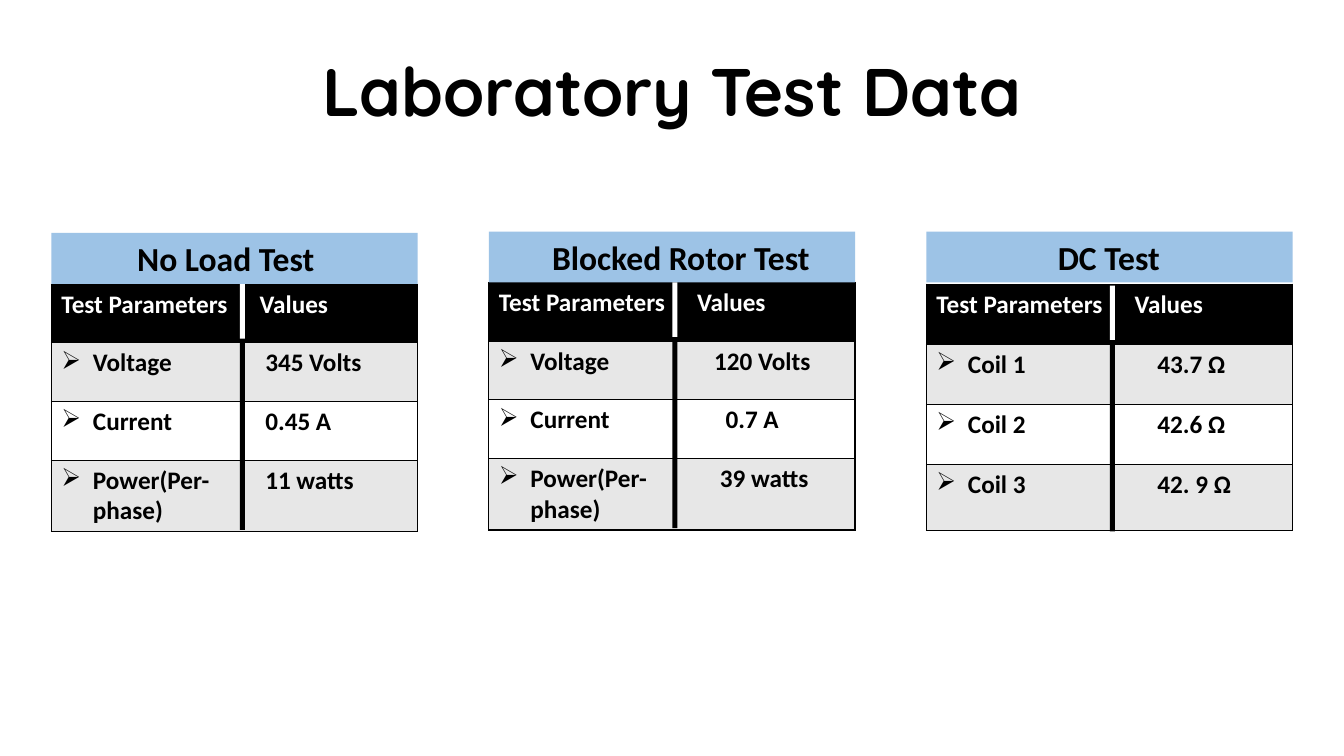
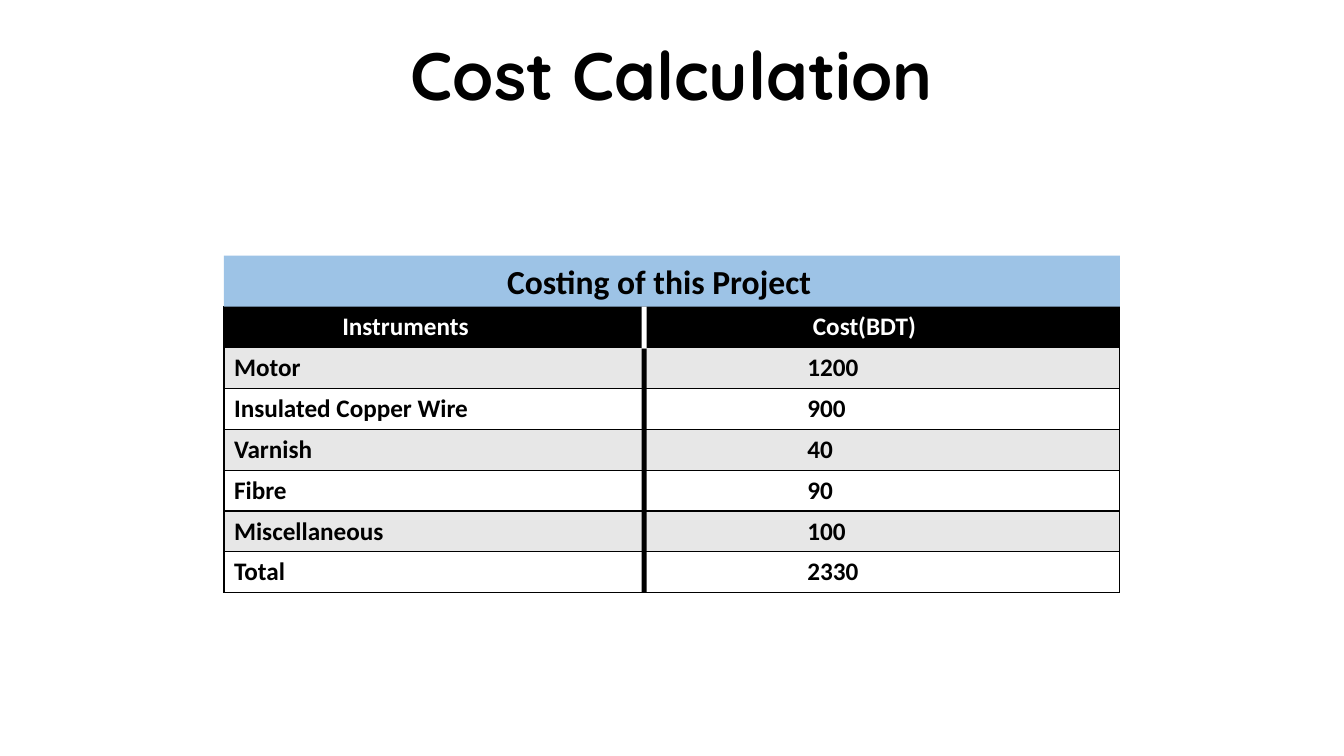
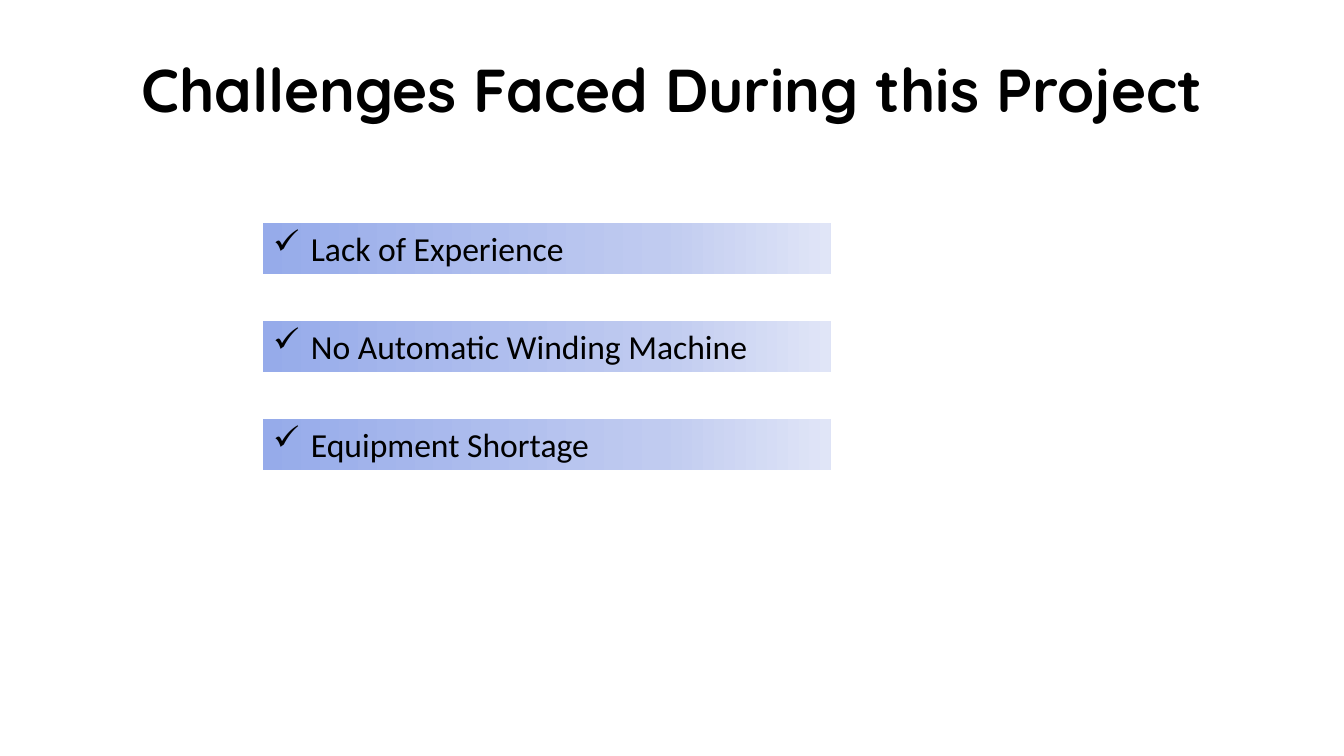
from copy import deepcopy
from dataclasses import dataclass

from pptx import Presentation
from pptx.dml.color import RGBColor as RGB
from pptx.enum.shapes import MSO_SHAPE as Preset
from pptx.enum.text import MSO_ANCHOR as Anchor, PP_ALIGN as Align
from pptx.oxml.ns import qn
from pptx.oxml.xmlchemy import OxmlElement as Element
from pptx.util import Pt


@dataclass(frozen=True)
class Theme:
    # Colours
    black: str = "000000"
    white: str = "FFFFFF"
    stripe: str = "E7E7E7"
    band: str = "9DC3E6"
    fade: tuple = ((0, "96ABEA"), (0.7, "C0CBF0"), (1, "E0E5F7"))
    # Fonts and sizes
    title_font: str = "Quicksand"
    body_font: str = "Calibri"
    title_size: float = 48
    heading_size: float = 24
    cell_size: float = 18
    # Shared measures
    slide_width: float = 960
    slide_height: float = 540
    band_height: float = 36.36
    divider_width: float = 3.6


THEME = Theme()


def style(paragraph, size, color=THEME.black, bold=True, font=THEME.body_font):
    paragraph.font.name = font
    paragraph.font.size = Pt(size)
    paragraph.font.bold = bold
    paragraph.font.color.rgb = RGB.from_string(color)


def indent(paragraph, left, bullet=None):
    """Indent a paragraph; a bullet hangs in the indent."""
    props = paragraph._p.get_or_add_pPr()
    props.set("marL", str(Pt(left)))
    if bullet:
        props.set("indent", str(-Pt(left)))
        mark = Element("a:buChar")
        mark.set("char", bullet)
        props.append(mark)


def add_title(slide, text, top, size=THEME.title_size):
    width = 828
    title = slide.shapes.add_textbox(
        Pt((THEME.slide_width - width) / 2), Pt(top), Pt(width), Pt(104.4))
    frame = title.text_frame
    frame.word_wrap = True
    frame.vertical_anchor = Anchor.MIDDLE
    line = frame.paragraphs[0]
    line.text = text
    line.alignment = Align.CENTER
    line.line_spacing = 0.9
    style(line, size, font=THEME.title_font)


def add_bar(slide, left, top, width, height, color=None):
    bar = slide.shapes.add_shape(
        Preset.RECTANGLE, Pt(left), Pt(top), Pt(width), Pt(height))
    bar.shadow.inherit = False
    bar.line.fill.background()
    if color:
        bar.fill.solid()
        bar.fill.fore_color.rgb = RGB.from_string(color)
    return bar


def add_band(slide, text, left, top, width, text_indent, color=THEME.band,
             bold=True, bullet=None):
    band = add_bar(slide, left, top, width, THEME.band_height, color)
    frame = band.text_frame
    frame.word_wrap = True
    frame.vertical_anchor = Anchor.TOP
    line = frame.paragraphs[0]
    line.text = text
    line.alignment = Align.LEFT
    indent(line, text_indent, bullet)
    style(line, THEME.heading_size, bold=bold)
    return band


def fade_fill(band):
    band.fill.gradient()
    band.fill.gradient_angle = 0
    stops = band._element.spPr.find(qn("a:gradFill")).find(qn("a:gsLst"))
    stops.append(deepcopy(stops[-1]))
    for stop, (position, color) in zip(band.fill.gradient_stops, THEME.fade):
        stop.position = position
        stop.color.rgb = RGB.from_string(color)


def set_borders(cell, sides):
    """Draw thin black lines on the named sides and none on the others."""
    props = cell._tc.get_or_add_tcPr()
    for side in "LRTB":
        edge = Element(f"a:ln{side}")
        if side in sides:
            edge.set("w", str(Pt(1)))
            fill, color = Element("a:solidFill"), Element("a:srgbClr")
            color.set("val", THEME.black)
            fill.append(color)
        else:
            fill = Element("a:noFill")
        edge.append(fill)
        props.append(edge)


def add_data_table(slide, rows, left, top, columns, heights, bullet=None):
    """Rows hold a label, a value, and the indents of both."""
    table = slide.shapes.add_table(
        len(rows), 2, Pt(left), Pt(top), Pt(sum(columns)), Pt(sum(heights))).table
    table.first_row = table.horz_banding = False
    for column, width in zip(table.columns, columns):
        column.width = Pt(width)
    for number, (label, value, label_indent, value_indent) in enumerate(rows):
        table.rows[number].height = Pt(heights[number])
        is_header = number == 0
        fill = (THEME.black if is_header
                else THEME.stripe if number % 2 else THEME.white)
        parts = ((label, label_indent, "LTB", None if is_header else bullet),
                 (value, value_indent, "RTB", None))
        for cell, (text, left_indent, sides, mark) in zip(
                table.rows[number].cells, parts):
            set_borders(cell, sides)
            cell.fill.solid()
            cell.fill.fore_color.rgb = RGB.from_string(fill)
            line = cell.text_frame.paragraphs[0]
            line.text = text
            indent(line, left_indent, mark)
            style(line, THEME.cell_size,
                  THEME.white if is_header else THEME.black)


def add_divider(slide, left, top, header_height, body_height):
    """Column divider: white through the header, black below it."""
    add_bar(slide, left, top + header_height, THEME.divider_width, body_height,
            THEME.black)
    add_bar(slide, left, top, THEME.divider_width, header_height, THEME.white)


def build_test_data(slide):
    add_title(slide, "Laboratory Test Data", 15.8)
    columns = (141.6, 120)
    uneven = (41.9, 41.9, 41.9, 51.2)
    even = (42.9, 42.9, 42.9, 47)
    # Heading, its indent, band top, table top, divider offset and top,
    # row heights, rows of label, value and value indent
    tests = (
        ("No Load Test", 54.2, 166.4, 203, 134.6, 203, uneven,
         (("Voltage", "345 Volts", 4), ("Current", "0.45 A", 4),
          ("Power(Per-phase)", "11 watts", 4))),
        ("Blocked Rotor Test", 38, 165.4, 201.7, 131, 201.7, uneven,
         (("Voltage", "120 Volts", 12.2), ("Current", "0.7 A", 20.3),
          ("Power(Per-phase)", "39 watts", 16.3))),
        ("DC Test", 86.8, 165.4, 203, 131, 204, even,
         (("Coil 1", "43.7 Ω", 16.3), ("Coil 2", "42.6 Ω", 16.3),
          ("Coil 3", "42. 9 Ω", 16.3))),
    )
    for number, (heading, heading_indent, band_top, table_top, divider_offset,
                 divider_top, heights, readings) in enumerate(tests):
        left = 36.7 + number * 312.5
        rows = [("Test Parameters", "Values", 0, 0)]
        rows += [(label, value, 22.5, gap) for label, value, gap in readings]
        add_data_table(slide, rows, left, table_top, columns, heights, "➢")
        add_band(slide, heading, left, band_top, sum(columns), heading_indent)
        add_divider(slide, left + divider_offset, divider_top, 38.9, 136.6)


def build_costs(slide):
    add_title(slide, "Cost Calculation", 4.3)
    costs = (("Motor", 1200), ("Insulated Copper Wire", 900), ("Varnish", 40),
             ("Fibre", 90), ("Miscellaneous", 100), ("Total", 2330))
    left, top, columns = 160, 219, (320, 320)
    row_height = 29.2
    rows = [("Instruments", "Cost(BDT)", 77.3, 93.5)]
    rows += [(item, str(cost), 0, 89.5) for item, cost in costs]
    add_data_table(slide, rows, left, top, columns, [row_height] * len(rows))
    add_band(slide, "Costing of this Project", left, top - THEME.band_height,
             sum(columns), 195.2)
    add_divider(slide, 458.4, top, 29.8, 174.4)


def build_challenges(slide):
    add_title(slide, "Challenges Faced During this Project", 14.4, 43.2)
    challenges = ("Lack of Experience", "No Automatic Winding Machine",
                  "Equipment Shortage")
    for number, challenge in enumerate(challenges):
        fade_fill(add_band(slide, challenge, 188, 159.2 + number * 70, 405.4, 27,
                           color=None, bold=False, bullet="✓"))


def main():
    deck = Presentation()
    deck.slide_width = Pt(THEME.slide_width)
    deck.slide_height = Pt(THEME.slide_height)
    blank = deck.slide_layouts[6]
    for build in (build_test_data, build_costs, build_challenges):
        build(deck.slides.add_slide(blank))
    deck.save("out.pptx")


if __name__ == "__main__":
    main()
